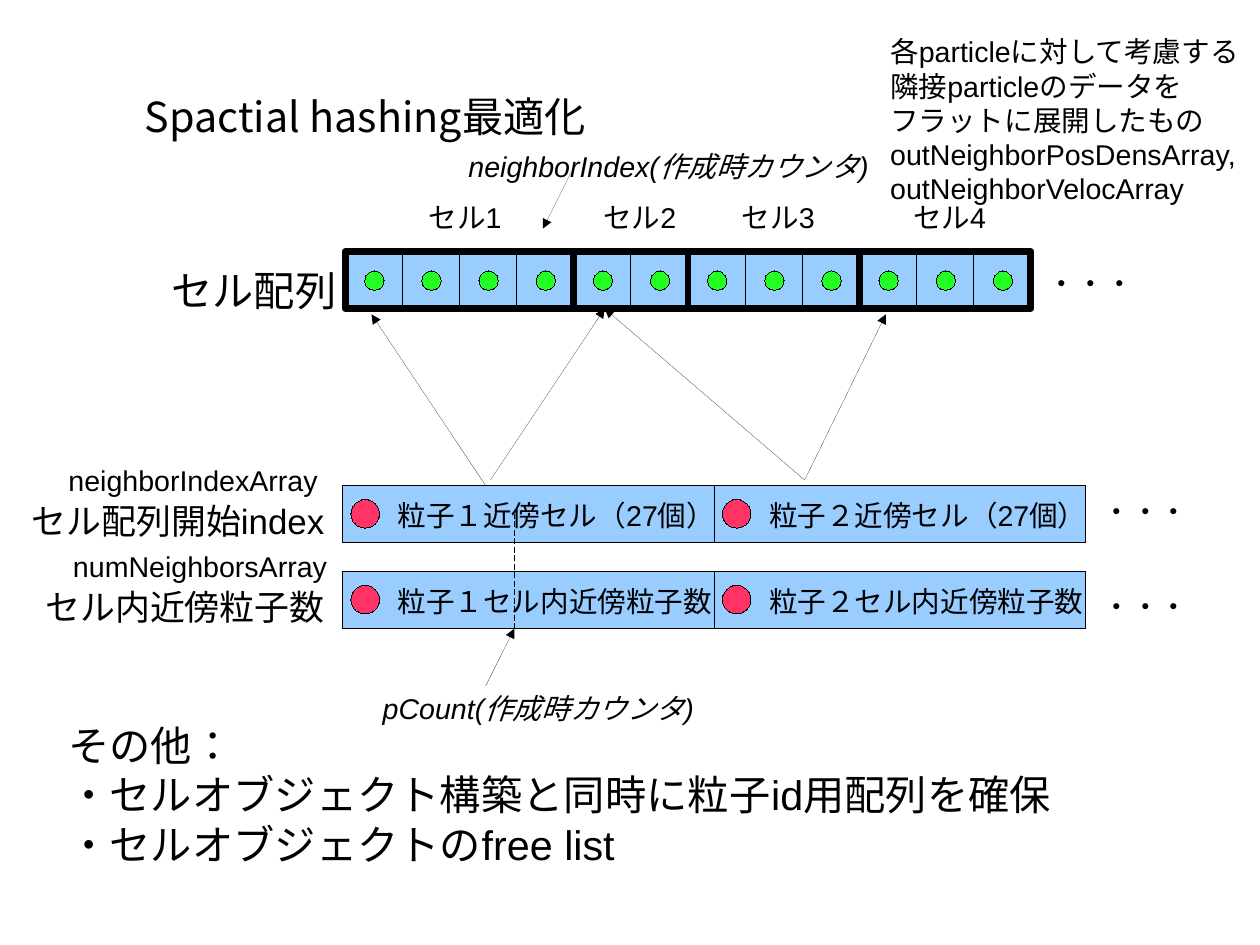
from lxml import etree
from pptx import Presentation
from pptx.dml.color import RGBColor
from pptx.enum import dml, lang, shapes, text
from pptx.oxml import ns
from pptx.util import Cm, Inches, Pt

BLACK = RGBColor(0x00, 0x00, 0x00)
BLUE = RGBColor(0x99, 0xCC, 0xFF)
GREEN = RGBColor(0x23, 0xFF, 0x23)
PINK = RGBColor(0xFF, 0x33, 0x66)
ARIAL = "Arial"
NOTO = "Noto Sans CJK JP"
RECT = shapes.MSO_SHAPE.RECTANGLE
OVAL = shapes.MSO_SHAPE.OVAL
HAIRLINE = 0.01

CELL = 0.5
CELLS_LEFT, CELLS_TOP = 3.02, 2.2
ENTRY_LEFT, ENTRY_WIDTH = 3, 3.25


def add_box(parent, kind, x, y, w, h, fill=None, line_width=HAIRLINE):
    sp = parent.shapes.add_shape(kind, Inches(x), Inches(y), Inches(w), Inches(h))
    sp.shadow.inherit = False
    if fill is None:
        sp.fill.background()
    else:
        sp.fill.solid()
        sp.fill.fore_color.rgb = fill
    sp.line.color.rgb = BLACK
    sp.line.width = Pt(line_width)
    return sp


def add_label(s, content, x, y, w, h, size=18, font=ARIAL, italic=False, wrap=False):
    sp = s.shapes.add_textbox(Inches(x), Inches(y), Inches(w), Inches(h))
    tf = sp.text_frame
    tf.text = content
    tf.word_wrap = wrap
    tf.auto_size = text.MSO_AUTO_SIZE.SHAPE_TO_FIT_TEXT
    for p in tf.paragraphs:
        for r in p.runs:
            r.font.size = Pt(size)
            r.font.name = font
            r.font.italic = italic
            r.font.color.rgb = BLACK
            r.font.language_id = lang.MSO_LANGUAGE_ID.JAPANESE
            # Same typeface for the Japanese characters
            ea = etree.SubElement(r.font._element, ns.qn("a:ea"))
            ea.set("typeface", font)


def add_line(s, start, end, arrow=True):
    points = [Inches(v) for v in (*start, *end)]
    cx = s.shapes.add_connector(shapes.MSO_CONNECTOR.STRAIGHT, *points)
    cx.line.color.rgb = BLACK
    cx.line.width = Pt(HAIRLINE)
    if arrow:
        tail = etree.SubElement(cx.line._get_or_add_ln(), ns.qn("a:tailEnd"))
        tail.set("type", "triangle")
    else:
        cx.line.dash_style = dml.MSO_LINE.DASH
    etree.SubElement(cx._element.spPr, ns.qn("a:effectLst"))


def add_cell_array(s):
    cell_groups = [(4, 3.65), (2, 5.18), (3, 6.39), (3, 7.89)]
    for i in range(sum(count for count, _ in cell_groups)):
        grp = s.shapes.add_group_shape()
        x = CELLS_LEFT + i * CELL
        add_box(grp, RECT, x, CELLS_TOP, CELL, CELL, BLUE)
        add_box(grp, OVAL, x + 0.17, CELLS_TOP + 0.17, 0.17, 0.17, GREEN)

    # Heavy frames and names of the cells
    x = CELLS_LEFT
    for number, (count, label_x) in enumerate(cell_groups, 1):
        add_box(s, RECT, x, CELLS_TOP, count * CELL, CELL, line_width=4.31)
        add_label(s, f"セル{number}", label_x, 1.7, 0.91, 0.46)
        x += count * CELL


def add_entry_row(s, y, captions, label_width):
    lefts = [ENTRY_LEFT + i * ENTRY_WIDTH for i in range(len(captions))]
    for x in lefts:
        add_box(s, RECT, x, y, ENTRY_WIDTH, 0.5, BLUE)
    for x, caption in zip(lefts, captions):
        add_box(s, OVAL, x + 0.07, y + 0.12, 0.25, 0.25, PINK)
        add_label(s, caption, x + 0.38, y + 0.06, label_width, 0.46)


def main():
    prs = Presentation()
    prs.slide_width, prs.slide_height = Cm(28), Cm(21)
    s = prs.slides.add_slide(prs.slide_layouts[6])

    # Arrays
    add_cell_array(s)
    add_entry_row(s, 4.25, ["粒子１近傍セル（27個）", "粒子２近傍セル（27個）"], 3.1)
    add_entry_row(s, 5, ["粒子１セル内近傍粒子数", "粒子２セル内近傍粒子数"], 2.95)
    for x, y in [(9.07, 2.28), (9.55, 4.27), (9.55, 5.1)]:
        add_label(s, "・・・", x, y, 0.95, 0.46)

    # Index arrows and counter pointers
    for start, end in [
        ((4.25, 4.25), (3.25, 2.75)),
        ((4.29, 4.2), (5.29, 2.7)),
        ((7.04, 4.2), (7.75, 2.75)),
        ((7.04, 4.2), (5.29, 2.7)),
        ((5, 1.5), (4.75, 2)),
        ((4.25, 6), (4.5, 5.5)),
    ]:
        add_line(s, start, end)
    add_line(s, (4.5, 5.5), (4.5, 4.5), arrow=False)

    # Title and array names
    add_label(s, "Spactial hashing最適化", 1.17, 0.75, 5.58, 0.63, 26, NOTO, wrap=True)
    add_label(s, "セル配列", 1.4, 2.27, 1.66, 0.62, 26)
    add_label(s, "neighborIndexArray", 0.5, 4, 2.38, 0.38)
    add_label(s, "セル配列開始index", 0.18, 4.32, 2.84, 0.54, 22)
    add_label(s, "numNeighborsArray", 0.54, 4.75, 2.42, 0.38)
    add_label(s, "セル内近傍粒子数", 0.3, 5.07, 2.64, 0.54, 22)

    # Counters and flattened data
    add_label(s, "neighborIndex(作成時カウンタ)", 4, 1.25, 3.83, 0.46, italic=True)
    add_label(s, "pCount(作成時カウンタ)", 3.25, 6, 3.05, 0.46, italic=True)
    add_label(s, "各particleに対して考慮する\n隣接particleのデータを\n"
              "フラットに展開したもの\noutNeighborPosDensArray,\noutNeighborVelocArray",
              7.69, 0.25, 3.37, 1.74)

    # Other remarks
    add_label(s, "その他：\n・セルオブジェクト構築と同時に粒子id用配列を確保\n"
              "・セルオブジェクトのfree list",
              0.5, 6.25, 9.5, 2.16, 26, wrap=True)

    prs.save("out.pptx")


if __name__ == "__main__":
    main()
